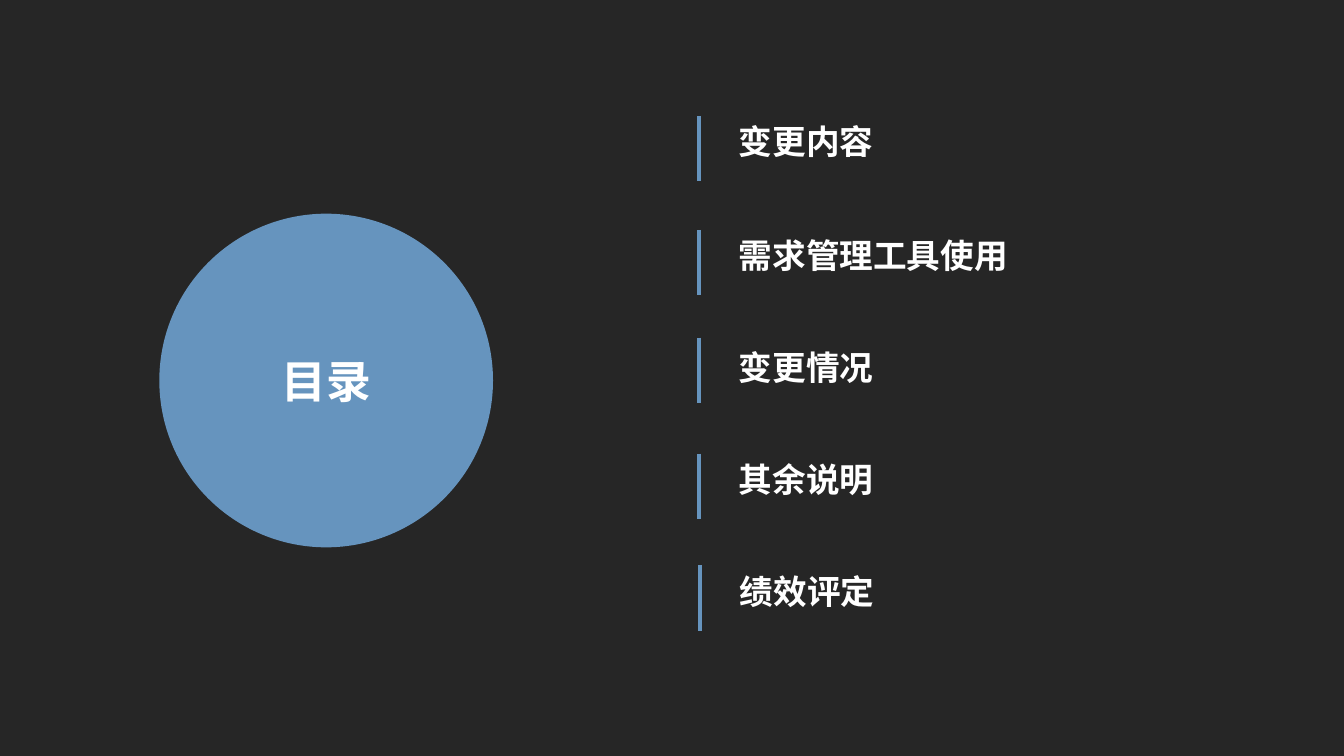
from typing import NamedTuple

from lxml.etree import SubElement
from pptx import Presentation
from pptx.dml.color import RGBColor
from pptx.enum.shapes import MSO_CONNECTOR, MSO_SHAPE
from pptx.enum.text import MSO_ANCHOR, MSO_AUTO_SIZE, PP_ALIGN
from pptx.oxml.ns import qn
from pptx.slide import Slide
from pptx.text.text import TextFrame
from pptx.util import Inches, Pt

BACKGROUND = RGBColor(0x26, 0x26, 0x26)
BLUE = RGBColor(0x66, 0x94, 0xBE)
WHITE = RGBColor(0xFF, 0xFF, 0xFF)

CJK_FONT = "Noto Sans CJK SC"
BAR_HEIGHT = 0.65
TITLE_GAP = 0.3
TITLE_HEIGHT = 0.5


class Entry(NamedTuple):
    title: str
    title_top: float
    bar_top: float
    bar_left: float = 6.93
    title_width: float = 1.54


ENTRIES = [
    Entry("变更内容", 1.15, 1.15),
    Entry("需求管理工具使用", 2.28, 2.28, title_width=2.88),
    Entry("变更情况", 3.39, 3.35),
    Entry("其余说明", 4.5, 4.5),
    Entry("绩效评定", 5.61, 5.61, bar_left=6.94),
]


def write_text(frame: TextFrame, text: str, size: int, latin: str) -> None:
    paragraph = frame.paragraphs[0]
    paragraph.text = text
    font = paragraph.font
    font.name = latin
    font.size = Pt(size)
    font.bold = True
    font.color.rgb = WHITE
    properties = paragraph._p.pPr.find(qn("a:defRPr"))
    SubElement(properties, qn("a:ea")).set("typeface", CJK_FONT)


def draw_heading(slide: Slide) -> None:
    circle = slide.shapes.add_shape(
        MSO_SHAPE.OVAL, Inches(1.58), Inches(2.12), Inches(3.31), Inches(3.31)
    )
    circle.shadow.inherit = False
    circle.fill.solid()
    circle.fill.fore_color.rgb = BLUE
    circle.line.fill.background()
    circle.text_frame.vertical_anchor = MSO_ANCHOR.MIDDLE
    write_text(circle.text_frame, "目录", 32, CJK_FONT)
    circle.text_frame.paragraphs[0].alignment = PP_ALIGN.CENTER


def draw_entry(slide: Slide, entry: Entry) -> None:
    title = slide.shapes.add_textbox(
        Inches(entry.bar_left + TITLE_GAP),
        Inches(entry.title_top),
        Inches(entry.title_width),
        Inches(TITLE_HEIGHT),
    )
    title.text_frame.word_wrap = False
    title.text_frame.auto_size = MSO_AUTO_SIZE.SHAPE_TO_FIT_TEXT
    write_text(title.text_frame, entry.title, 24, "Calibri")

    bar = slide.shapes.add_connector(
        MSO_CONNECTOR.STRAIGHT,
        Inches(entry.bar_left),
        Inches(entry.bar_top),
        Inches(entry.bar_left),
        Inches(entry.bar_top + BAR_HEIGHT),
    )
    bar.line.color.rgb = BLUE
    bar.line.width = Pt(3)
    SubElement(bar._element.spPr, qn("a:effectLst"))


def main() -> None:
    presentation = Presentation()
    presentation.slide_width = Inches(13.33)
    presentation.slide_height = Inches(7.5)
    slide = presentation.slides.add_slide(presentation.slide_layouts[6])
    slide.background.fill.solid()
    slide.background.fill.fore_color.rgb = BACKGROUND
    draw_heading(slide)
    for entry in ENTRIES:
        draw_entry(slide, entry)
    presentation.save("out.pptx")


if __name__ == "__main__":
    main()
